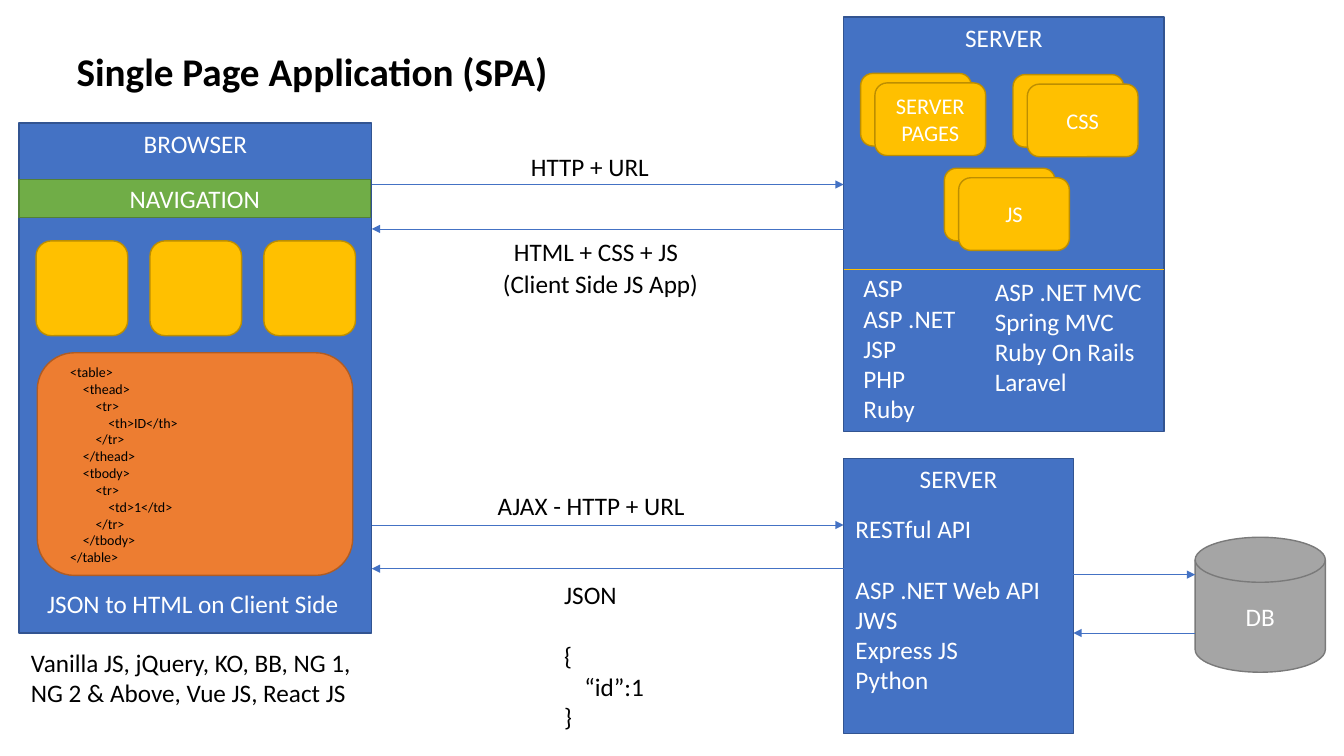
from collections import namedtuple

from lxml import etree
from pptx import Presentation
from pptx.dml.color import RGBColor
from pptx.enum.shapes import MSO_CONNECTOR, MSO_SHAPE
from pptx.enum.text import MSO_ANCHOR, PP_ALIGN
from pptx.oxml.ns import qn
from pptx.util import Cm, Pt

RECT, ROUNDED = MSO_SHAPE.RECTANGLE, MSO_SHAPE.ROUNDED_RECTANGLE
DISK = MSO_SHAPE.FLOWCHART_MAGNETIC_DISK
STRAIGHT = MSO_CONNECTOR.STRAIGHT
TOP, MIDDLE = MSO_ANCHOR.TOP, MSO_ANCHOR.MIDDLE
LEFT, CENTER = PP_ALIGN.LEFT, PP_ALIGN.CENTER

BLACK = RGBColor(0x00, 0x00, 0x00)
WHITE = RGBColor(0xFF, 0xFF, 0xFF)
BLUE = RGBColor(0x44, 0x72, 0xC4)
GOLD = RGBColor(0xFF, 0xC0, 0x00)
GREEN = RGBColor(0x70, 0xAD, 0x47)
ORANGE = RGBColor(0xED, 0x7D, 0x31)
GRAY = RGBColor(0xA5, 0xA5, 0xA5)
OUTLINES = {
    BLUE: RGBColor(0x32, 0x54, 0x91),
    GOLD: RGBColor(0xBD, 0x8E, 0x00),
    GREEN: RGBColor(0x53, 0x80, 0x35),
    ORANGE: RGBColor(0xAF, 0x5C, 0x24),
    GRAY: RGBColor(0x7A, 0x7A, 0x7A),
}

Line = namedtuple("Line", "text indent gap", defaults=(0, 0))
CODE_INDENT = 0.32  # cm per nesting level
BLANK_LINE = 22     # points

CODE = [
    (0, "<table>"), (1, "<thead>"), (2, "<tr>"), (3, "<th>ID</th>"),
    (2, "</tr>"), (1, "</thead>"), (1, "<tbody>"), (2, "<tr>"),
    (3, "<td>1</td>"), (2, "</tr>"), (1, "</tbody>"), (0, "</table>"),
]
PAGE_LANGUAGES = ["ASP", "ASP .NET", "JSP", "PHP", "Ruby"]
PAGE_FRAMEWORKS = ["ASP .NET MVC", "Spring MVC", "Ruby On Rails", "Laravel"]
API_TOOLS = ["RESTful API", Line("ASP .NET Web API", gap=BLANK_LINE),
             "JWS", "Express JS", "Python"]
JSON_REPLY = ["JSON", Line("{", gap=BLANK_LINE), Line("“id”:1", indent=0.51), "}"]
CLIENT_LIBRARIES = ["Vanilla JS, jQuery, KO, BB, NG 1,",
                    "NG 2 & Above, Vue JS, React JS"]


class Box(namedtuple("Box", "left top width height")):
    def inner(self, dx, dy, width, height):
        """Return a box placed relative to this one's top left corner."""
        return Box(self.left + dx, self.top + dy, width, height)

    @property
    def right(self):
        return self.left + self.width

    def emu(self):
        return [Cm(length) for length in self]


def write(frame, lines, color, size=18, align=LEFT, bold=False):
    font_format = {"name": "Calibri", "size": Pt(size), "bold": bold}
    for index, line in enumerate(lines):
        if isinstance(line, str):
            line = Line(line)
        paragraph = frame.add_paragraph() if index else frame.paragraphs[0]
        paragraph.alignment = align
        if line.gap:
            paragraph.space_before = Pt(line.gap)
        if line.indent:
            paragraph._p.get_or_add_pPr().set("marL", str(Cm(line.indent)))
        run = paragraph.add_run()
        run.text = line.text
        run.font.color.rgb = color
        for attribute, value in font_format.items():
            setattr(run.font, attribute, value)


def add_text(shapes, box, lines, color=BLACK, wrap=False, **text_format):
    frame = shapes.add_textbox(*box.emu()).text_frame
    frame.word_wrap = wrap
    write(frame, lines, color, **text_format)


def add_block(shapes, kind, box, fill, label="", size=18, anchor=MIDDLE):
    block = shapes.add_shape(kind, *box.emu())
    block.shadow.inherit = False
    block.fill.solid()
    block.fill.fore_color.rgb = fill
    block.line.color.rgb = OUTLINES[fill]
    block.line.width = Pt(1)
    block.text_frame.vertical_anchor = anchor
    if label:
        write(block.text_frame, [label], WHITE, size, CENTER)


def add_level_line(shapes, start, end, y, color=BLUE, arrow=True):
    connector = shapes.add_connector(STRAIGHT, Cm(start), Cm(y), Cm(end), Cm(y))
    connector.line.color.rgb = color
    connector.line.width = Pt(0.5)
    if arrow:
        etree.SubElement(connector.line._get_or_add_ln(), qn("a:tailEnd"), type="triangle")
    etree.SubElement(connector._element.spPr, qn("a:effectLst"))


def add_browser(shapes, box):
    add_block(shapes, RECT, box, BLUE, "BROWSER", anchor=TOP)
    add_block(shapes, RECT, box.inner(0, 1.42, 8.86, 0.97), GREEN, "NAVIGATION")
    for column in range(3):
        add_block(shapes, ROUNDED, box.inner(0.43 + 2.87 * column, 2.97, 2.31, 2.39), GOLD)
    add_block(shapes, ROUNDED, box.inner(0.46, 5.79, 7.95, 5.61), ORANGE)
    code_lines = [Line(text, indent=level * CODE_INDENT) for level, text in CODE]
    add_text(shapes, box.inner(1.04, 5.94, 6.2, 5.38), code_lines, wrap=True, size=10)
    add_text(shapes, box.inner(0.46, 11.61, 7.95, 1.02),
             ["JSON to HTML on Client Side"], WHITE)
    add_text(shapes, box.inner(0.05, 13.08, 8.66, 1.8), CLIENT_LIBRARIES)


def add_file_stack(shapes, box, label):
    stack = shapes.add_group_shape().shapes
    add_block(stack, ROUNDED, box, GOLD)
    add_block(stack, ROUNDED, box.inner(0.36, 0.24, box.width, box.height), GOLD, label, 16)


def add_page_server(shapes, box):
    add_block(shapes, RECT, box, BLUE, "SERVER", anchor=TOP)
    for label, dx, dy in [("SERVER PAGES", 0.43, 1.42), ("CSS", 4.27, 1.45),
                          ("JS", 2.54, 3.81)]:
        add_file_stack(shapes, box.inner(dx, dy, 2.79, 1.83), label)
    add_level_line(shapes, box.left, box.right, box.top + 6.35, GOLD, arrow=False)
    add_text(shapes, box.inner(0.25, 6.32, 3.07, 4.11), PAGE_LANGUAGES, WHITE)
    add_text(shapes, box.inner(3.56, 6.4, 4.52, 3.33), PAGE_FRAMEWORKS, WHITE, wrap=True)


def add_api_server(shapes, box):
    add_block(shapes, RECT, box, BLUE, "SERVER", anchor=TOP)
    add_text(shapes, box.inner(0.05, 1.24, 5.44, 4.88), API_TOOLS, WHITE, wrap=True)


def add_round_trip(shapes, box, request_dy, reply_dy):
    """Draw a request to the right and a reply to the left across the box."""
    add_level_line(shapes, box.left, box.right, box.top + request_dy)
    add_level_line(shapes, box.right, box.left, box.top + reply_dy)


def add_page_traffic(shapes, box):
    add_round_trip(shapes, box, 0.97, 2.09)
    add_text(shapes, box.inner(3.76, 0, 3.53, 1.02), ["HTTP + URL"])
    add_text(shapes, box.inner(3.3, 2.14, 4.7, 1.02), ["HTML + CSS + JS"], align=CENTER)
    add_text(shapes, box.inner(2.54, 2.95, 6.45, 1.02), ["(Client Side JS App)"],
             wrap=True, align=CENTER)


def add_ajax_traffic(shapes, box):
    add_round_trip(shapes, box, 0.99, 2.09)
    add_text(shapes, box.inner(2.92, 0, 5.28, 1.02), ["AJAX - HTTP + URL"])
    add_text(shapes, box.inner(4.6, 2.24, 2.54, 4.11), JSON_REPLY)


def main():
    presentation = Presentation()
    presentation.slide_width, presentation.slide_height = Cm(33.87), Cm(19.05)
    shapes = presentation.slides.add_slide(presentation.slide_layouts[6]).shapes

    browser = Box(0.48, 3.1, 8.89, 12.85)
    page_server = Box(21.26, 0.43, 8.08, 10.44)
    api_server = Box(21.26, 11.56, 5.79, 6.93)
    database = Box(30.12, 13.54, 3.28, 3.4)
    client_gap = page_server.left - browser.right
    database_gap = database.left - api_server.right

    add_text(shapes, Box(1.68, 1.07, 12.93, 1.45), ["Single Page Application (SPA)"],
             size=28, bold=True)
    add_browser(shapes, browser)
    add_page_server(shapes, page_server)
    add_api_server(shapes, api_server)
    add_block(shapes, DISK, database, GRAY, "DB")
    add_page_traffic(shapes, Box(browser.right, 3.68, client_gap, 3.97))
    add_ajax_traffic(shapes, Box(browser.right, 12.24, client_gap, 6.35))
    add_round_trip(shapes, Box(api_server.right, 14.48, database_gap, 1.47), 0, 1.47)

    presentation.save("out.pptx")


if __name__ == "__main__":
    main()
